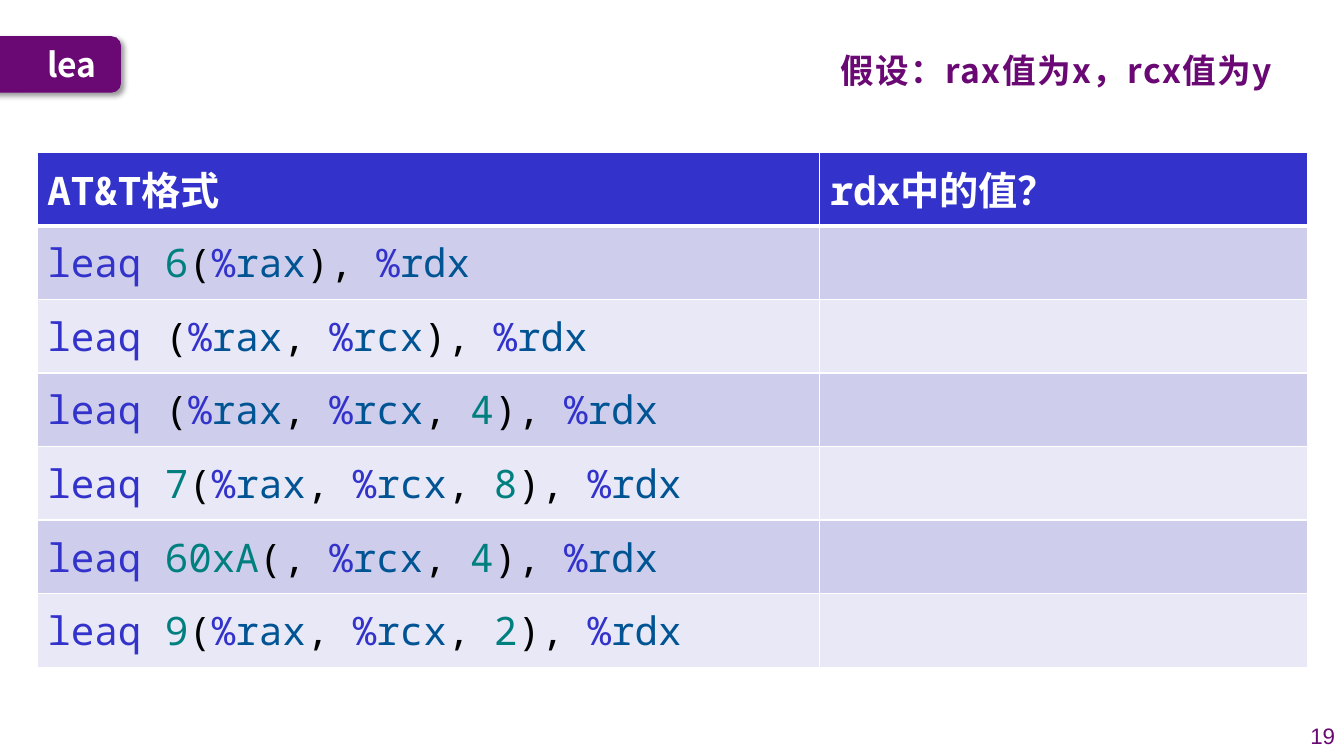
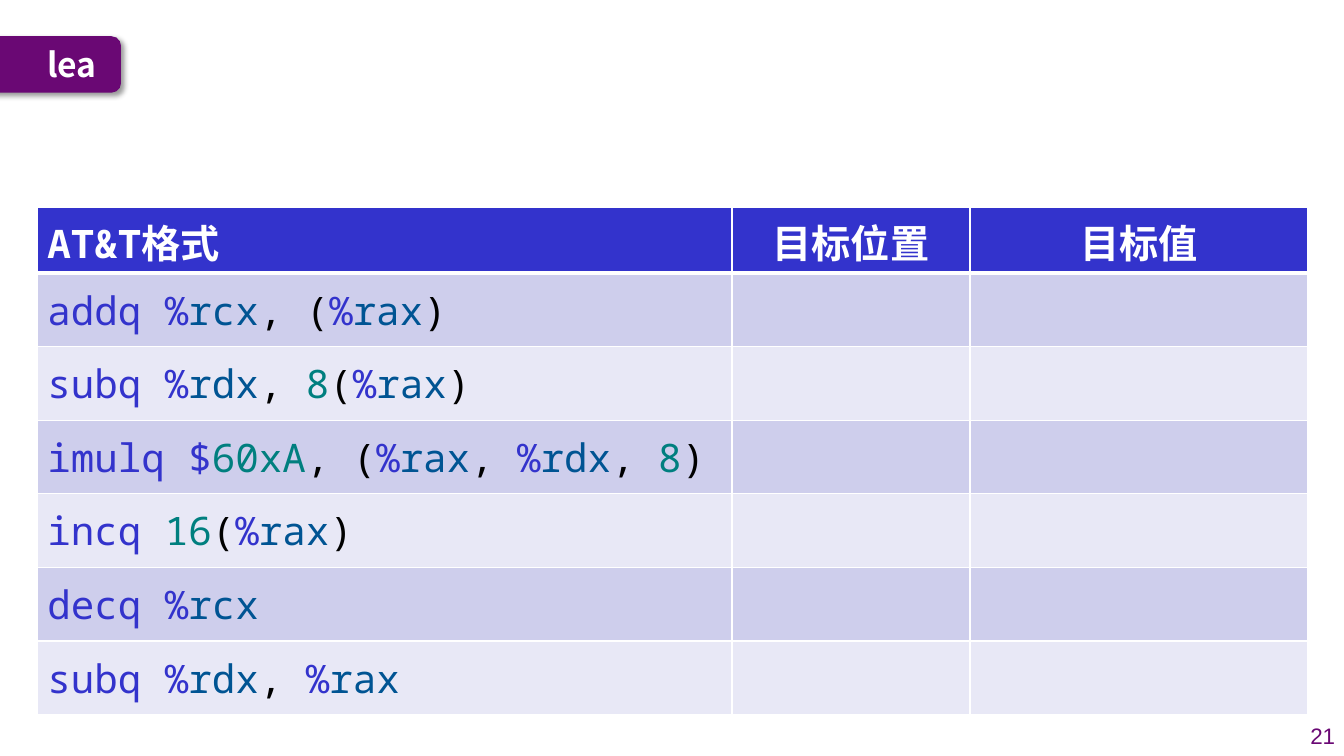
from itertools import groupby

from lxml import etree
from pptx import Presentation
from pptx import util as u
from pptx.dml.color import RGBColor
from pptx.enum import shapes, text
from pptx.oxml import ns, parse_xml

PURPLE = RGBColor(0x6A, 0x08, 0x74)
WHITE = RGBColor(0xFF, 0xFF, 0xFF)
BLACK = RGBColor(0x00, 0x00, 0x00)
BLUE = RGBColor(0x33, 0x33, 0xCC)
REGISTER = RGBColor(0x00, 0x54, 0x93)
NUMBER = RGBColor(0x00, 0x7F, 0x7F)
BANDS = RGBColor(0xCE, 0xCE, 0xEC), RGBColor(0xE8, 0xE8, 0xF6)

SANS, MONO, ARIAL = "Noto Sans CJK SC", "Noto Sans Mono", "Arial"
LEFT, CENTER, RIGHT = text.PP_ALIGN.LEFT, text.PP_ALIGN.CENTER, text.PP_ALIGN.RIGHT

PX = u.Inches(1) // 100
TABLE_LEFT, ROW_HEIGHT = 37, 73

SLIDES = [
    {
        "title": "lea",
        "number": "19",
        "note": "假设：rax值为x，rcx值为y",
        "top": 151,
        "header_height": 73,
        "columns": [("AT&T格式", 776, LEFT), ("rdx中的值？", 484, LEFT)],
        "code": [
            "leaq 6(%rax), %rdx",
            "leaq (%rax, %rcx), %rdx",
            "leaq (%rax, %rcx, 4), %rdx",
            "leaq 7(%rax, %rcx, 8), %rdx",
            "leaq 60xA(, %rcx, 4), %rdx",
            "leaq 9(%rax, %rcx, 2), %rdx",
        ],
    },
    {
        "title": "lea",
        "number": "21",
        "note": None,
        "top": 206,
        "header_height": 65,
        "columns": [("AT&T格式", 689, LEFT), ("目标位置", 236, CENTER),
                    ("目标值", 335, CENTER)],
        "code": [
            "addq %rcx, (%rax)",
            "subq %rdx, 8(%rax)",
            "imulq $60xA, (%rax, %rdx, 8)",
            "incq 16(%rax)",
            "decq %rcx",
            "subq %rdx, %rax",
        ],
    },
]

SHADOW = f"""<a:effectLst {ns.nsdecls("a")}>
  <a:outerShdw blurRad="{u.Pt(4)}" dist="{u.Pt(3)}" dir="2700000" algn="tl" rotWithShape="0">
    <a:srgbClr val="000000"><a:alpha val="40000"/></a:srgbClr>
  </a:outerShdw>
</a:effectLst>"""


def box(*lengths):
    return [n * PX for n in lengths]


def style(r, size, font, color, bold=False):
    r.font.size, r.font.name, r.font.bold = u.Pt(size), font, bold
    r.font.color.rgb = color
    ea = etree.SubElement(r.font._element, ns.qn("a:ea"))
    ea.set("typeface", SANS)


def add_text(s, at, words, size, font, color, bold=False, align=LEFT,
             anchor=text.MSO_ANCHOR.MIDDLE):
    tf = s.shapes.add_textbox(*box(*at)).text_frame
    tf.word_wrap = True
    tf.vertical_anchor = anchor
    tf.text = words
    p = tf.paragraphs[0]
    p.alignment = align
    style(p.runs[0], size, font, color, bold)
    return p


def add_frame(s, title, number):
    """Draw the title tab and the page number that every slide has."""
    tab = s.shapes.add_shape(shapes.MSO_SHAPE.ROUNDED_RECTANGLE, *box(-81, 36, 201, 56))
    tab.fill.solid()
    tab.fill.fore_color.rgb = PURPLE
    tab.line.fill.background()
    tab._element.spPr.append(parse_xml(SHADOW))
    add_text(s, (37, 36, 83, 55), title, 24, SANS, WHITE, bold=True)
    add_text(s, (1279, 710, 55, 40), number, 16, ARIAL, PURPLE, align=RIGHT)


def add_note(s, note):
    p = add_text(s, (824, 51, 455, 90), note, 24, SANS, PURPLE, bold=True,
                 anchor=text.MSO_ANCHOR.TOP)
    p.line_spacing = 0.85
    p.runs[0].font._element.set("spc", "100")


def code_tokens(line):
    """Split one instruction into (text, colour) pairs."""
    mnemonic, _, operands = line.partition(" ")
    yield mnemonic + " ", BLUE

    def kind(c):
        return "word" if c.isalnum() else "sigil" if c in "%$" else "mark"

    for name, chars in groupby(operands, kind):
        token = "".join(chars)
        word_color = NUMBER if token[0].isdigit() else REGISTER
        yield token, {"word": word_color, "sigil": BLUE, "mark": BLACK}[name]


def format_cell(cell, fill, bottom=1):
    cell.vertical_anchor = text.MSO_ANCHOR.MIDDLE
    cell.fill.solid()
    cell.fill.fore_color.rgb = fill
    tc_pr = cell._tc.get_or_add_tcPr()
    for i, (side, width) in enumerate(zip("LRTB", (1, 1, 1, bottom))):
        tc_pr.insert(i, parse_xml(
            f'<a:ln{side} {ns.nsdecls("a")} w="{u.Pt(width)}"><a:solidFill>'
            f'<a:srgbClr val="{WHITE}"/></a:solidFill></a:ln{side}>'))


def add_code_table(s, top, header_height, columns, code):
    width = sum(w for _, w, _ in columns)
    height = header_height + ROW_HEIGHT * len(code)
    table = s.shapes.add_table(len(code) + 1, len(columns),
                               *box(TABLE_LEFT, top, width, height)).table
    for row in table.rows:
        row.height = ROW_HEIGHT * PX
    table.rows[0].height = header_height * PX

    for i, (heading, w, align) in enumerate(columns):
        table.columns[i].width = w * PX
        cell = table.cell(0, i)
        format_cell(cell, BLUE, bottom=3)
        cell.text = heading
        p = cell.text_frame.paragraphs[0]
        p.alignment = align
        style(p.runs[0], 28, MONO, WHITE, bold=True)

    for n, line in enumerate(code):
        for i in range(len(columns)):
            format_cell(table.cell(n + 1, i), BANDS[n % 2])
        p = table.cell(n + 1, 0).text_frame.paragraphs[0]
        for token, color in code_tokens(line):
            r = p.add_run()
            r.text = token
            style(r, 28, MONO, color)


def main():
    prs = Presentation()
    prs.slide_width, prs.slide_height = box(1333, 750)
    for content in SLIDES:
        s = prs.slides.add_slide(prs.slide_layouts[6])
        add_frame(s, content["title"], content["number"])
        if content["note"]:
            add_note(s, content["note"])
        add_code_table(s, content["top"], content["header_height"],
                       content["columns"], content["code"])
    prs.save("out.pptx")


if __name__ == "__main__":
    main()
